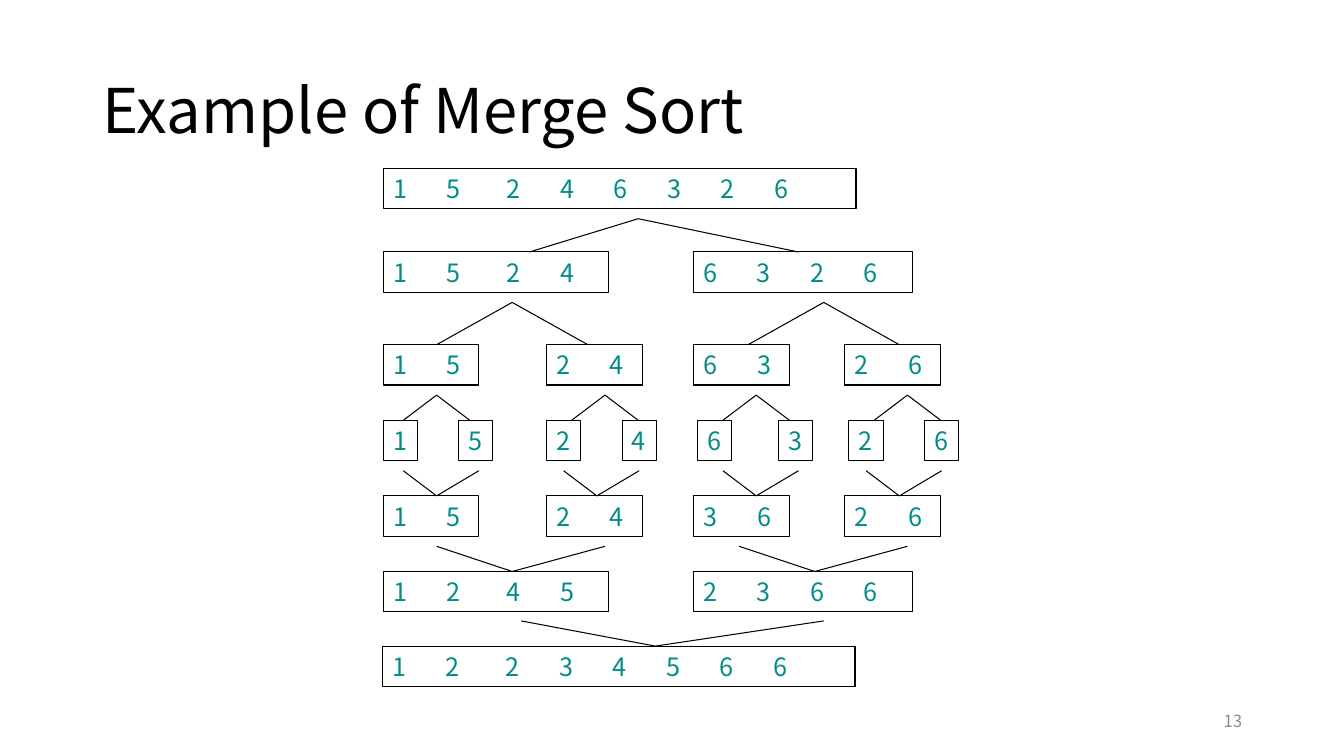
import dataclasses

import pptx
import pptx.dml.color
import pptx.enum.shapes
import pptx.enum.text
import pptx.oxml.ns
import pptx.util
from lxml import etree

SCALE = 9144
STEP = 53
GAP = 7
BOX_H = 40
WIDTHS = {1: 34, 2: 95, 4: 217, 8: 462}
ALIGN = pptx.enum.text.PP_ALIGN


@dataclasses.dataclass(frozen=True)
class Theme:
    """Colours, font and type sizes of the slide."""
    font: str = "Noto Sans CJK SC"
    ink: str = "000000"
    digit: str = "008C87"
    muted: str = "8C8C8C"
    title: int = 44
    body: int = 18
    small: int = 12
    line: float = 0.75


@dataclasses.dataclass(frozen=True)
class Level:
    """A row of lists and the forks that lead into it."""
    top: int
    lefts: tuple
    lists: tuple
    tips: tuple = ()
    arms: tuple = ()
    rise: int = 25
    split: bool = False


THEME = Theme()
HALVES = (0, 308)
PAIRS = (0, 162, 308, 458)
LEVELS = (
    Level(0, (0,), ("15246326",)),
    Level(83, HALVES, ("1524", "6326"), (253,), (-108, 159), 33, True),
    Level(175, PAIRS, ("15", "24", "63", "26"), (128, 437), (-75, 75), 42, True),
    Level(250, (0, 75, 162, 237, 312, 392, 462, 537), tuple("15246326"),
          (53, 220, 370, 520), (-33, 33), split=True),
    Level(325, PAIRS, ("15", "24", "36", "26"), (53, 212, 370, 512), (-33, 42)),
    Level(400, HALVES, ("1245", "2366"), (128, 428), (-75, 92)),
    Level(474, (-1,), ("12234566",), (270,), (-133, 167)),
)


def px(*sizes):
    """Turn px lengths into EMU."""
    return [pptx.util.Emu(size * SCALE) for size in sizes]


def color(code):
    """Make a colour from its hex code."""
    return pptx.dml.color.RGBColor.from_string(code)


def write(shape, text, size, tint, align=ALIGN.LEFT):
    """Put one vertically centred paragraph in a shape and return it."""
    frame = shape.text_frame
    frame.word_wrap = True
    frame.vertical_anchor = pptx.enum.text.MSO_ANCHOR.MIDDLE
    para = frame.paragraphs[0]
    para.text = text
    para.alignment = align
    para.font.name = THEME.font
    para.font.size = pptx.util.Pt(size)
    para.font.color.rgb = color(tint)
    return para


def title(slide, box):
    """Draw the slide title."""
    para = write(slide.shapes.add_textbox(*px(*box)), "Example of Merge Sort",
                 THEME.title, THEME.ink)
    para.line_spacing = 0.9


def number(slide, box):
    """Draw the slide number."""
    write(slide.shapes.add_textbox(*px(*box)), "13", THEME.small, THEME.muted,
          ALIGN.RIGHT)


def stops(para, count, extra):
    """Set the tab stops that space the digits of a list."""
    props = para._p.get_or_add_pPr()
    tabs = etree.Element(pptx.oxml.ns.qn("a:tabLst"))
    for i in range(1, count):
        place = STEP * i + (extra if i > 1 else 0)
        etree.SubElement(tabs, pptx.oxml.ns.qn("a:tab"),
                         pos=str(place * SCALE), algn="l")
    props.insert_element_before(tabs, "a:defRPr", "a:extLst")


def array(slide, left, top, digits, extra):
    """Draw one boxed list of digits."""
    width = WIDTHS[len(digits)] + extra
    shape = slide.shapes.add_shape(pptx.enum.shapes.MSO_SHAPE.RECTANGLE,
                                   *px(left, top, width, BOX_H))
    shape.shadow.inherit = False
    shape.fill.background()
    shape.line.color.rgb = color(THEME.ink)
    shape.line.width = pptx.util.Pt(THEME.line)
    frame = shape.text_frame
    frame.margin_left, frame.margin_right = px(10, 0)
    frame.margin_top = frame.margin_bottom = 0
    para = write(shape, "\t".join(digits), THEME.body, THEME.digit)
    if len(digits) > 1:
        stops(para, len(digits), extra)


def link(slide, *ends):
    """Draw one thin line between two points."""
    line = slide.shapes.add_connector(
        pptx.enum.shapes.MSO_CONNECTOR.STRAIGHT, *px(*ends))
    line.line.color.rgb = color(THEME.ink)
    line.line.width = pptx.util.Pt(THEME.line)
    etree.SubElement(line._element.spPr, pptx.oxml.ns.qn("a:effectLst"))


def tree(slide, left, top):
    """Draw the splitting and merging rows from a top left corner."""
    for level in LEVELS:
        low = top + level.top
        high = low - level.rise
        for x, digits in zip(level.lefts, level.lists):
            wide = x <= 0 and len(digits) > 2
            array(slide, left + x, low, digits, GAP if wide else 0)
        tip_y, end_y = (high, low) if level.split else (low, high)
        for tip in level.tips:
            for arm in level.arms:
                link(slide, left + tip, tip_y, left + tip + arm, end_y)


def main():
    """Build and save the slide."""
    deck = pptx.Presentation()
    deck.slide_width, deck.slide_height = px(1333, 750)
    slide = deck.slides.add_slide(deck.slide_layouts[6])
    number(slide, (942, 695, 300, 40))
    title(slide, (92, 40, 1150, 145))
    tree(slide, 380, 167)
    deck.save("out.pptx")


if __name__ == "__main__":
    main()
